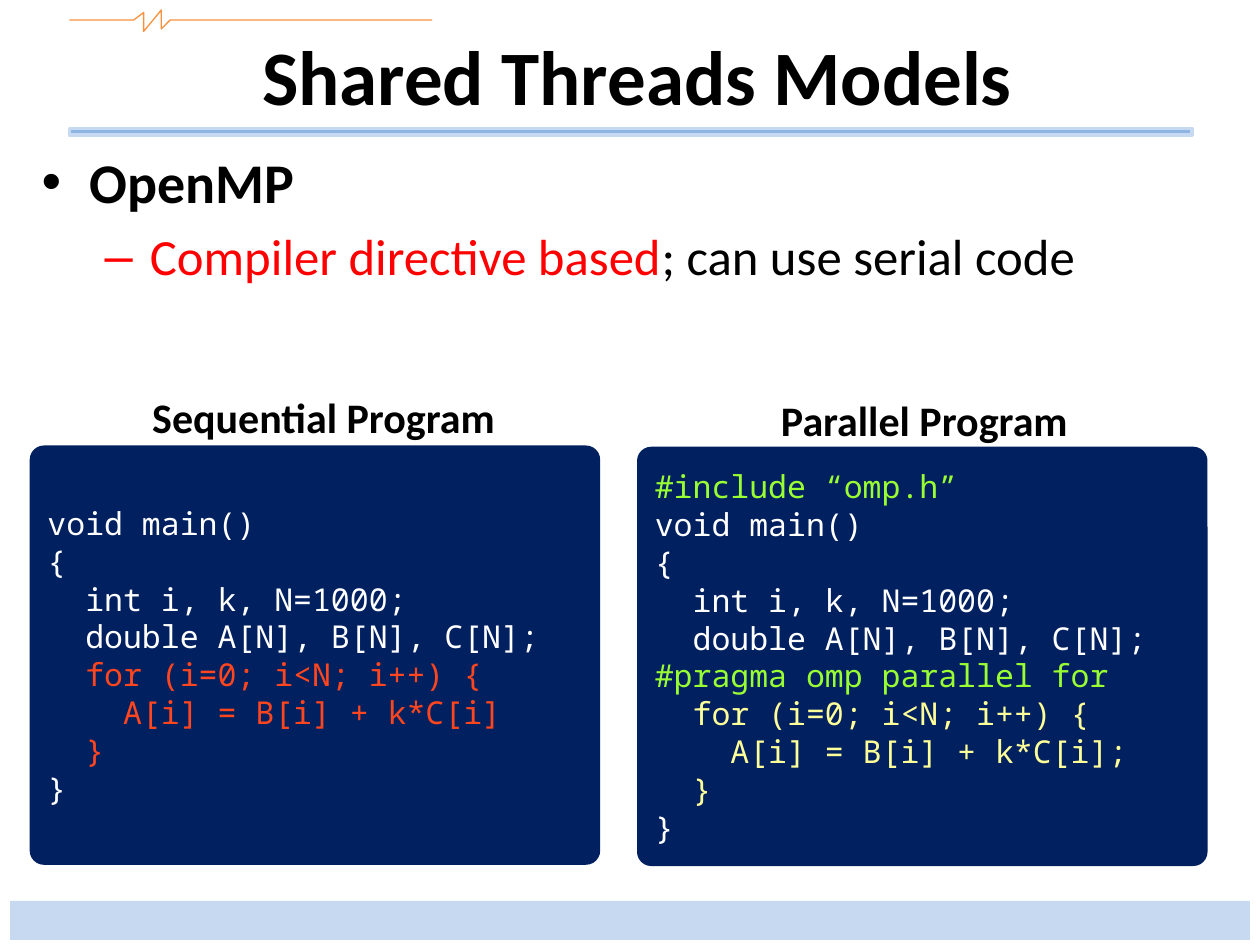
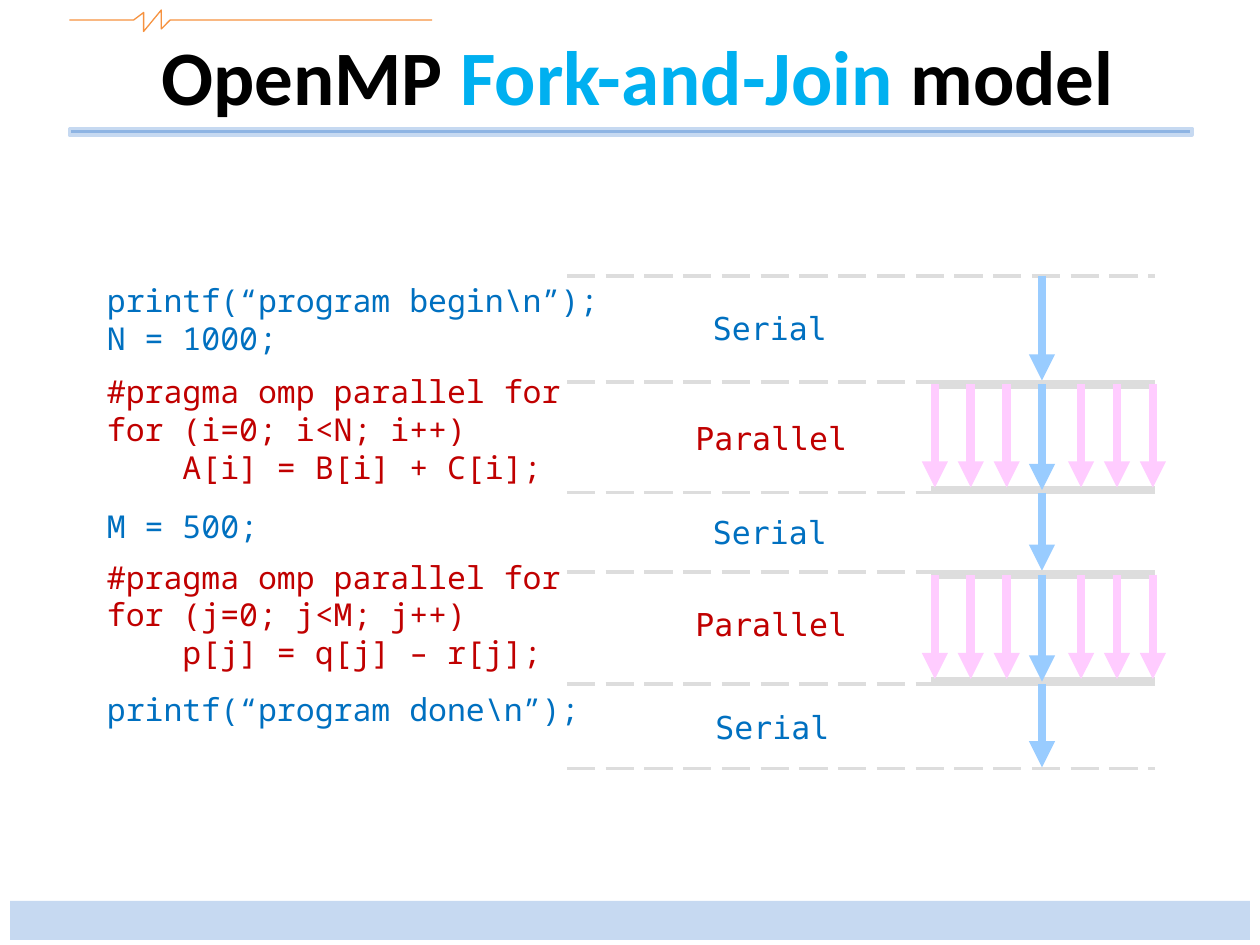
from lxml import etree
from pptx import Presentation
from pptx.dml.color import RGBColor
from pptx.enum import dml, shapes, text
from pptx.oxml import ns
from pptx.util import Inches, Pt

# Shared look
BLACK, WHITE, RED = "000000", "FFFFFF", "FF0000"
PALE_BLUE, RULE_BLUE, ORANGE, NAVY = "C6D9F1", "8EB4E3", "F69240", "002060"
SKY, GREEN, YELLOW, TOMATO = "00B0F0", "99FF33", "FFFF99", "FF461E"
SERIAL, PARALLEL = "0070C0", "C00000"
MAIN_THREAD, FORKED_THREAD, GREY = "99CCFF", "FFCCFF", "DDDDDD"
BODY_FONT, CODE_FONT, LABEL_FONT = "Calibri", "Noto Sans Mono", "DejaVu Sans Mono"
PULSE = [(0.55, 0.16), (1.06, 0.16), (1.14, 0.1), (1.14, 0.25),
         (1.28, 0.08), (1.28, 0.23), (1.35, 0.16), (3.43, 0.16)]

# Slide 1: each paragraph is a list of (words, colour); newlines are line breaks
MODELS_TITLE = [("Shared Threads Models", BLACK)]
# Runs, size, bold, level, bullet, left margin, hanging indent, space before
BULLETS = [
    ([("OpenMP", BLACK)], 32, True, 0, "•", 0.38, 0.38, None),
    ([("Compiler directive based", RED), ("; can use serial code", BLACK)],
     29, False, 1, "–", 0.86, 0.36, 6),
]
SEQUENTIAL_CODE = [
    [("void main()\n{\n  int i, k, N=1000;", WHITE)],
    [("  double A[N], B[N], C[N];\n  ", WHITE),
     ("for (i=0; i<N; i++) {\n    A[i] = B[i] + k*C[i]\n  }\n", TOMATO), ("}", WHITE)],
]
PARALLEL_CODE = [
    [("#include “omp.h”\n", GREEN), ("void main()\n{\n  int i, k, N=1000;", WHITE)],
    [("  double A[N], B[N], C[N];\n", WHITE), ("#pragma omp parallel for\n  ", GREEN),
     ("for (i=0; i<N; i++) {", YELLOW)],
    [("    A[i] = B[i] + k*C[i];\n  }\n", YELLOW), ("}", WHITE)],
]
# Caption, caption box, code, left and top of the code panel
PROGRAMS = [
    ("Sequential Program", (1.11, 3.06, 3.1, 0.5), SEQUENTIAL_CODE, 0.25, 3.55),
    ("Parallel Program", (6.1, 3.08, 2.5, 0.5), PARALLEL_CODE, 5.07, 3.56),
]

# Slide 2
FORK_TITLE = [("OpenMP ", BLACK), ("Fork-and-Join", SKY), (" model", BLACK)]
# Space before, colour, lines of each code block
CODE_BLOCKS = [
    (None, SERIAL, ["printf(“program begin\\n”);", "N = 1000;"]),
    (9, PARALLEL, ["#pragma omp parallel for", "for (i=0; i<N; i++)", "    A[i] = B[i] + C[i];"]),
    (12.5, SERIAL, ["M = 500;"]),
    (7, PARALLEL, ["#pragma omp parallel for", "for (j=0; j<M; j++)", "    p[j] = q[j] – r[j];"]),
    (11, SERIAL, ["printf(“program done\\n”);"]),
]
# Kind, label left, label top; each phase runs between neighbouring boundaries
PHASES = [("Serial", 5.56, 2.4), ("Parallel", 5.42, 3.28), ("Serial", 5.56, 4.02),
          ("Parallel", 5.42, 4.75), ("Serial", 5.58, 5.57)]
BOUNDARIES = [2.19, 3.03, 3.91, 4.54, 5.43, 6.1]
LABEL_STYLES = {"Serial": (1.12, SERIAL), "Parallel": (1.42, PARALLEL)}
DASH_LEFT, BAR_LEFT, LINES_RIGHT, MAIN_X = 4.5, 7.39, 9.17, 8.27
FORK_XS = [start + 0.57 * i / 2 for start in (7.42, 8.58) for i in range(3)]


def colour(value):
    return RGBColor.from_string(value)


def box_inches(box):
    return [Inches(length) for length in box]


def add_runs(paragraph, runs, size, font_name, bold=False):
    for words, run_colour in runs:
        for i, line in enumerate(words.split("\n")):
            if i:
                paragraph.add_line_break()
            if line:
                run = paragraph.add_run()
                run.text = line
                run.font.size, run.font.name, run.font.bold = Pt(size), font_name, bold
                run.font.color.rgb = colour(run_colour)


def next_paragraph(frame, first):
    return frame.paragraphs[0] if first else frame.add_paragraph()


def add_text_box(container, box, wrap=True, inset=None):
    frame = container.add_textbox(*box_inches(box)).text_frame
    frame.word_wrap = wrap
    if inset is not None:
        frame.margin_left = frame.margin_right = Inches(inset)
        frame.margin_top = frame.margin_bottom = Inches(inset)
    return frame


def add_panel(slide, kind, box, fill, line=None):
    shape = slide.shapes.add_shape(kind, *box_inches(box))
    shape.shadow.inherit = False
    shape.fill.solid()
    shape.fill.fore_color.rgb = colour(fill)
    if line:
        shape.line.color.rgb = colour(line)
        shape.line.width = Pt(2)
    else:
        shape.line.fill.background()
    return shape


def add_line(container, start, end, line_colour, width, dashed=False, arrow=False):
    connector = container.add_connector(
        shapes.MSO_CONNECTOR.STRAIGHT, *box_inches(start + end))
    connector.line.color.rgb = colour(line_colour)
    connector.line.width = Pt(width)
    if dashed:
        connector.line.dash_style = dml.MSO_LINE.LONG_DASH
    if arrow:
        etree.SubElement(connector.line._get_or_add_ln(), ns.qn("a:tailEnd"), type="triangle")
    etree.SubElement(connector._element.spPr, ns.qn("a:effectLst"))


def add_bullet(paragraph, mark, margin, hanging):
    properties = paragraph._p.get_or_add_pPr()
    properties.set("marL", str(Inches(margin)))
    properties.set("indent", str(-Inches(hanging)))
    etree.SubElement(properties, ns.qn("a:buFont"), typeface="Arial")
    etree.SubElement(properties, ns.qn("a:buChar"), char=mark)


def add_framed_slide(presentation, title):
    slide = presentation.slides.add_slide(presentation.slide_layouts[6])
    # Pulse line, title rule and footer band
    points = [box_inches(point) for point in PULSE]
    builder = slide.shapes.build_freeform(*points[0])
    builder.add_line_segments(points[1:], close=False)
    pulse = builder.convert_to_shape()
    pulse.shadow.inherit = False
    pulse.fill.background()
    pulse.line.color.rgb = colour(ORANGE)
    pulse.line.width = Pt(0.75)
    rectangle = shapes.MSO_SHAPE.RECTANGLE
    add_panel(slide, rectangle, (0.55, 1.02, 8.91, 0.05), RULE_BLUE, PALE_BLUE)
    add_panel(slide, rectangle, (0.08, 7.15, 9.84, 0.31), PALE_BLUE)
    # Title
    frame = add_text_box(slide.shapes, (0.5, 0.05, 9.12, 1.08), inset=0.05)
    frame.vertical_anchor = text.MSO_ANCHOR.MIDDLE
    frame.paragraphs[0].alignment = text.PP_ALIGN.CENTER
    add_runs(frame.paragraphs[0], title, 44, BODY_FONT, bold=True)
    return slide


def build_models_slide(presentation):
    slide = add_framed_slide(presentation, MODELS_TITLE)
    # Bullets
    frame = add_text_box(slide.shapes, (0.28, 1.12, 9.43, 6.25), inset=0.05)
    for i, (runs, size, bold, level, mark, margin, hanging, before) in enumerate(BULLETS):
        paragraph = next_paragraph(frame, i == 0)
        paragraph.level = level
        add_bullet(paragraph, mark, margin, hanging)
        if before:
            paragraph.space_before = Pt(before)
        add_runs(paragraph, runs, size, BODY_FONT, bold)
    # Captions and code panels
    for caption, caption_box, code, left, top in PROGRAMS:
        label = add_text_box(slide.shapes, caption_box, wrap=False)
        add_runs(label.paragraphs[0], [(caption, BLACK)], 24, BODY_FONT, bold=True)
        panel = add_panel(slide, shapes.MSO_SHAPE.ROUNDED_RECTANGLE,
                          (left, top, 4.5, 3.3), NAVY, NAVY)
        panel.adjustments[0] = 0.03
        frame = panel.text_frame
        frame.word_wrap = True
        frame.vertical_anchor = text.MSO_ANCHOR.MIDDLE
        for i, runs in enumerate(code):
            paragraph = next_paragraph(frame, i == 0)
            paragraph.alignment = text.PP_ALIGN.LEFT
            add_runs(paragraph, runs, 18, CODE_FONT)


def add_phase(slide, phase, top, bottom):
    kind, label_left, label_top = phase
    group = slide.shapes.add_group_shape().shapes
    if kind == "Parallel":
        top, bottom = top + 0.02, bottom - 0.02
        for y in (top, bottom):
            add_line(group, (BAR_LEFT, y), (LINES_RIGHT, y), GREY, 5)
        for x in FORK_XS:
            add_line(group, (x, top), (x, bottom - 0.02), FORKED_THREAD, 5, arrow=True)
    else:
        bottom -= 0.01
    add_line(group, (MAIN_X, top), (MAIN_X, bottom), MAIN_THREAD, 5, arrow=True)
    width, label_colour = LABEL_STYLES[kind]
    label = add_text_box(group, (label_left, label_top, width, 0.4), wrap=False)
    add_runs(label.paragraphs[0], [(kind, label_colour)], 18, LABEL_FONT)


def build_fork_slide(presentation):
    slide = add_framed_slide(presentation, FORK_TITLE)
    # Code
    frame = add_text_box(slide.shapes, (0.75, 2.18, 4.17, 4.1))
    for block, (before, block_colour, lines) in enumerate(CODE_BLOCKS):
        for i, line in enumerate(lines):
            paragraph = next_paragraph(frame, block == i == 0)
            if before and i == 0:
                paragraph.space_before = Pt(before)
            add_runs(paragraph, [(line, block_colour)], 18, CODE_FONT)
    # Phase boundaries, then the threads of each phase
    for y in BOUNDARIES:
        add_line(slide.shapes, (DASH_LEFT, y), (LINES_RIGHT, y), GREY, 2, dashed=True)
    for phase, top, bottom in zip(PHASES, BOUNDARIES, BOUNDARIES[1:]):
        add_phase(slide, phase, top, bottom)


def main():
    presentation = Presentation()
    presentation.slide_width, presentation.slide_height = Inches(10), Inches(7.5)
    build_models_slide(presentation)
    build_fork_slide(presentation)
    presentation.save("out.pptx")


if __name__ == "__main__":
    main()
